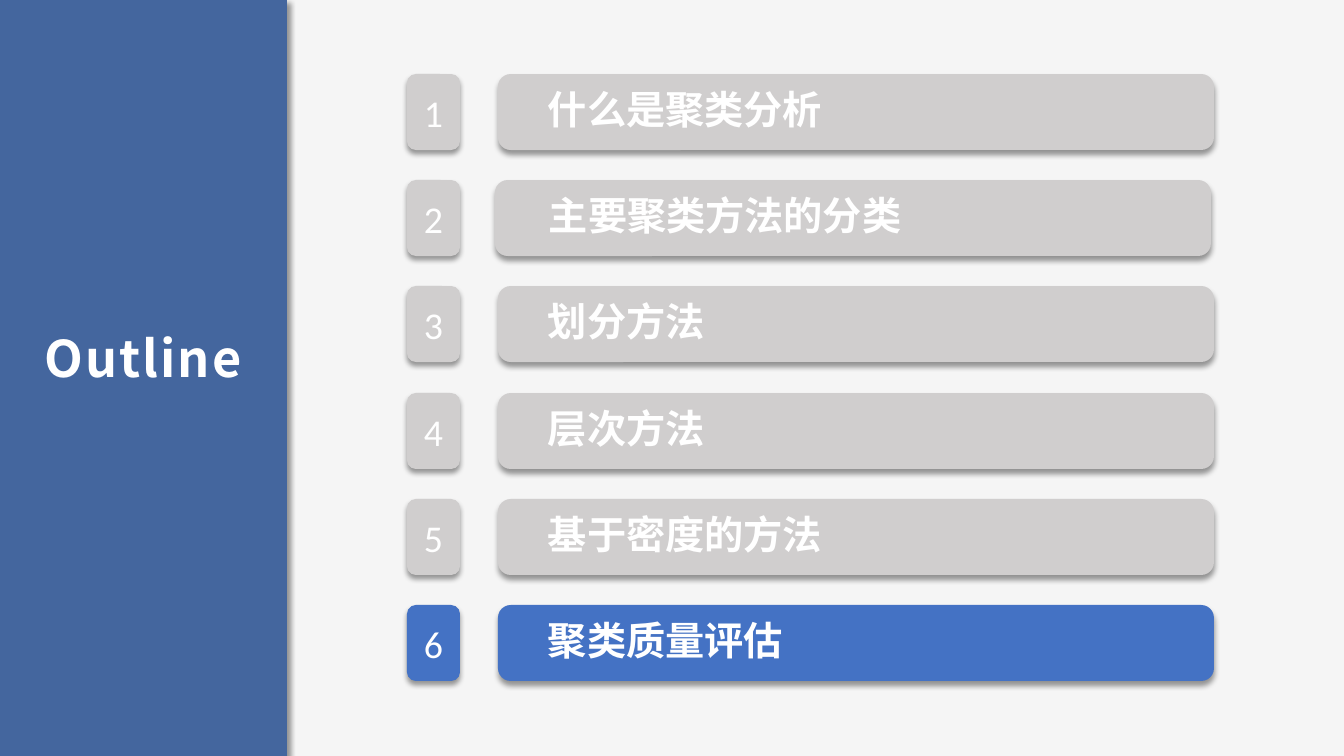
"""Build an outline slide with a sidebar title and six numbered topics."""
from lxml import etree
from pptx import Presentation
from pptx.dml.color import RGBColor
from pptx.enum.shapes import MSO_SHAPE as SHAPE
from pptx.enum.text import MSO_ANCHOR as ANCHOR, MSO_AUTO_SIZE as AUTO, PP_ALIGN as ALIGN
from pptx.oxml import parse_xml
from pptx.oxml.ns import nsdecls, qn
from pptx.util import Pt

PX = 12192000 / 1344
COLORS = {"background": "F5F5F5", "sidebar": "44669E", "muted": "D0CECE",
          "active": "4472C4", "text": "FFFFFF", "shadow": "000000"}
CJK = "Noto Sans CJK SC"
TOPICS = ["什么是聚类分析", "主要聚类方法的分类", "划分方法", "层次方法", "基于密度的方法", "聚类质量评估"]


def add_box(shapes, kind, bounds, color, shadow_angle=None):
    sp = shapes.add_shape(kind, *[round(n * PX) for n in bounds])
    sp.fill.solid()
    sp.fill.fore_color.rgb = RGBColor.from_string(COLORS[color])
    sp.line.fill.background()
    sp.shadow.inherit = False
    if shadow_angle is not None:
        sp._element.spPr.find(qn("a:effectLst")).append(parse_xml(
            f'<a:outerShdw {nsdecls("a")} blurRad="{Pt(4)}" dist="{Pt(3)}" '
            f'dir="{shadow_angle * 60000}" algn="t" rotWithShape="0">'
            f'<a:srgbClr val="{COLORS["shadow"]}"><a:alpha val="40000"/></a:srgbClr>'
            '</a:outerShdw>'))
    return sp


def set_text(sp, text, size, font, align, anchor=ANCHOR.TOP, bold=False, auto=AUTO.NONE):
    tf = sp.text_frame
    tf.text = text
    tf.word_wrap = True
    tf.auto_size = auto
    tf.vertical_anchor = anchor
    p = tf.paragraphs[0]
    p.alignment = align
    p.font.size = Pt(size)
    p.font.bold = bold
    p.font.name = font
    p.font.color.rgb = RGBColor.from_string(COLORS["text"])
    props = p._p.pPr.find(qn("a:defRPr"))
    etree.SubElement(props, qn("a:ea")).set("typeface", font)
    return props


prs = Presentation()
prs.slide_width = round(1344 * PX)
prs.slide_height = round(756 * PX)
s = prs.slides.add_slide(prs.slide_layouts[5])
s.background.fill.solid()
s.background.fill.fore_color.rgb = RGBColor.from_string(COLORS["background"])

sidebar = add_box(s.shapes, SHAPE.RECTANGLE, (0, 0, 287, 756), "sidebar", 45)
title = s.shapes.title
title.left, title.top, title.width, title.height = [round(n * PX) for n in (27, 322, 232, 72)]
props = set_text(title, "Outline", 36, CJK, ALIGN.CENTER, bold=True, auto=AUTO.SHAPE_TO_FIT_TEXT)
props.set("spc", "150")
sidebar._element.addnext(title._element)

for i, topic in enumerate(TOPICS):
    top = round(74 + 106.2 * i)
    color = "active" if i == len(TOPICS) - 1 else "muted"
    bar_left, label_left = (495, 539) if i == 1 else (498, 538)
    label_width = 507 if i == 0 else 648

    number = add_box(s.shapes, SHAPE.ROUNDED_RECTANGLE, (407, top, 53, 76), color, 90)
    set_text(number, str(i + 1), 27, "Calibri", ALIGN.CENTER, ANCHOR.MIDDLE)

    group = s.shapes.add_group_shape()
    add_box(group.shapes, SHAPE.ROUNDED_RECTANGLE, (bar_left, top, 716, 76), color, 90)
    label = add_box(group.shapes, SHAPE.RECTANGLE, (label_left, top + 6, label_width, 57), color)
    set_text(label, topic, 28, CJK, ALIGN.LEFT, bold=True, auto=AUTO.SHAPE_TO_FIT_TEXT)

prs.save("out.pptx")
